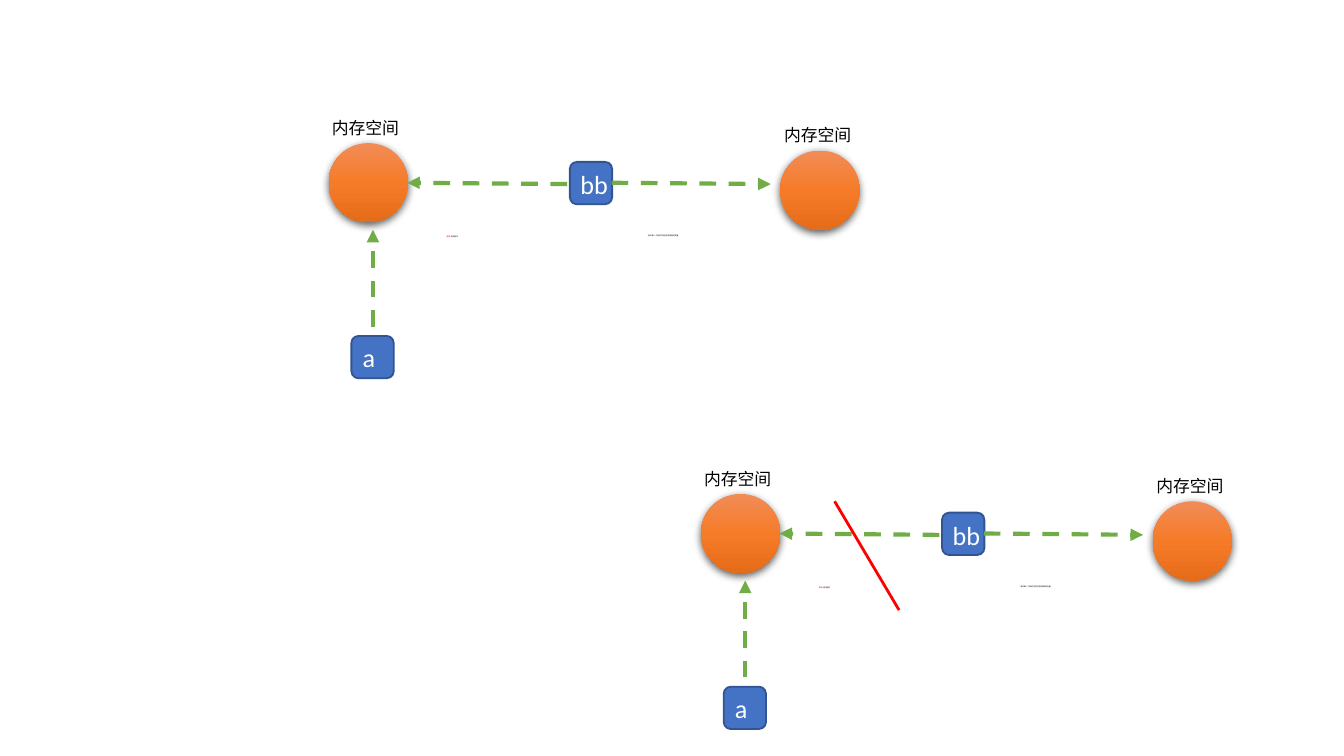
"""Draw two memory diagrams of variables a and b, the second with the link cut."""
from pptx import Presentation
from pptx import util as u
from pptx.dml.color import RGBColor
from pptx.enum import dml, shapes, text
from pptx.oxml import parse_xml
from pptx.oxml.ns import nsdecls

PX = 4572
NS = nsdecls("a")
GRADIENT = [(0, "F18C57"), (50, "F67B28"), (100, "E56C19")]
SPACES = [(489, 213, 474, 166), (1161, 224, 1147, 176)]
BOXES = [(523, 500), (848, 241)]
ARROWS = [(555, 486, 555, 342), (844, 274, 606, 272), (910, 272, 1147, 274)]
LABELS = [
    (520, 498, 72, 114, True, 14, [("aa", "FFFFFF")]),
    (844, 241, 88, 68, True, 14, [("bb", "FFFFFF")]),
    (645, 341, 198, 24, True, 1, [("赋值=", "FF0000"), ("是浅拷贝", "000000")]),
    (943, 340, 198, 24, True, 1,
     [("* ", "FF0000"), ("会开辟一个新的内存区域存放新的变量", "000000")]),
] + [(x, y, 142, 50, False, 9, [("内存空间", "000000")]) for _, _, x, y in SPACES]


def rgb(value):
    return RGBColor.from_string(value)


def line(x1, y1, x2, y2, color, width):
    c = s.shapes.add_connector(shapes.MSO_CONNECTOR.STRAIGHT,
                               x1 * PX, y1 * PX, x2 * PX, y2 * PX)
    c.line.color.rgb = rgb(color)
    c.line.width = u.Pt(width)
    c._element.spPr.append(parse_xml(f"<a:effectLst {NS}/>"))
    return c


prs = Presentation()
prs.slide_width, prs.slide_height = 2000 * PX, 1125 * PX
s = prs.slides.add_slide(prs.slide_layouts[6])

for dx, dy in [(0, 0), (554, 522)]:
    for x, y, _, _ in SPACES:
        sp = s.shapes.add_shape(shapes.MSO_SHAPE.OVAL, (x + dx) * PX, (y + dy) * PX,
                                118 * PX, 118 * PX)
        sp.line.fill.background()
        sp.shadow.inherit = False
        spPr = sp._element.spPr
        stops = "".join(f'<a:gs pos="{pos * 1000}"><a:srgbClr val="{c}"/></a:gs>'
                        for pos, c in GRADIENT)
        spPr.insert(2, parse_xml(f'<a:gradFill {NS}><a:gsLst>{stops}</a:gsLst>'
                                 '<a:lin ang="5400000" scaled="0"/></a:gradFill>'))
        spPr[-1].append(parse_xml(
            f'<a:outerShdw {NS} blurRad="57150" dist="19050" dir="5400000" algn="ctr" '
            'rotWithShape="0"><a:srgbClr val="000000"><a:alpha val="63000"/>'
            '</a:srgbClr></a:outerShdw>'))

    for x, y in BOXES:
        sp = s.shapes.add_shape(shapes.MSO_SHAPE.ROUNDED_RECTANGLE,
                                (x + dx) * PX, (y + dy) * PX, 63 * PX, 63 * PX)
        sp.shadow.inherit = False
        sp.fill.solid()
        sp.fill.fore_color.rgb = rgb("4472C4")
        sp.line.color.rgb = rgb("325491")
        sp.line.width = u.Pt(1)

    for x1, y1, x2, y2 in ARROWS:
        c = line(x1 + dx, y1 + dy, x2 + dx, y2 + dy, "70AD47", 2.25)
        c.line.dash_style = dml.MSO_LINE.DASH
        c.line._get_or_add_ln().append(parse_xml(f'<a:tailEnd {NS} type="triangle"/>'))

    for x, y, w, h, wrap, size, runs in LABELS:
        tf = s.shapes.add_textbox((x + dx) * PX, (y + dy) * PX, w * PX, h * PX).text_frame
        tf.word_wrap = wrap
        tf.auto_size = text.MSO_AUTO_SIZE.SHAPE_TO_FIT_TEXT
        for words, color in runs:
            r = tf.paragraphs[0].add_run()
            r.text = words
            r.font.name = "Calibri"
            r.font.size = u.Pt(size)
            r.font.color.rgb = rgb(color)

line(1242, 746, 1338, 908, "FF0000", 1.5)

prs.save("out.pptx")
